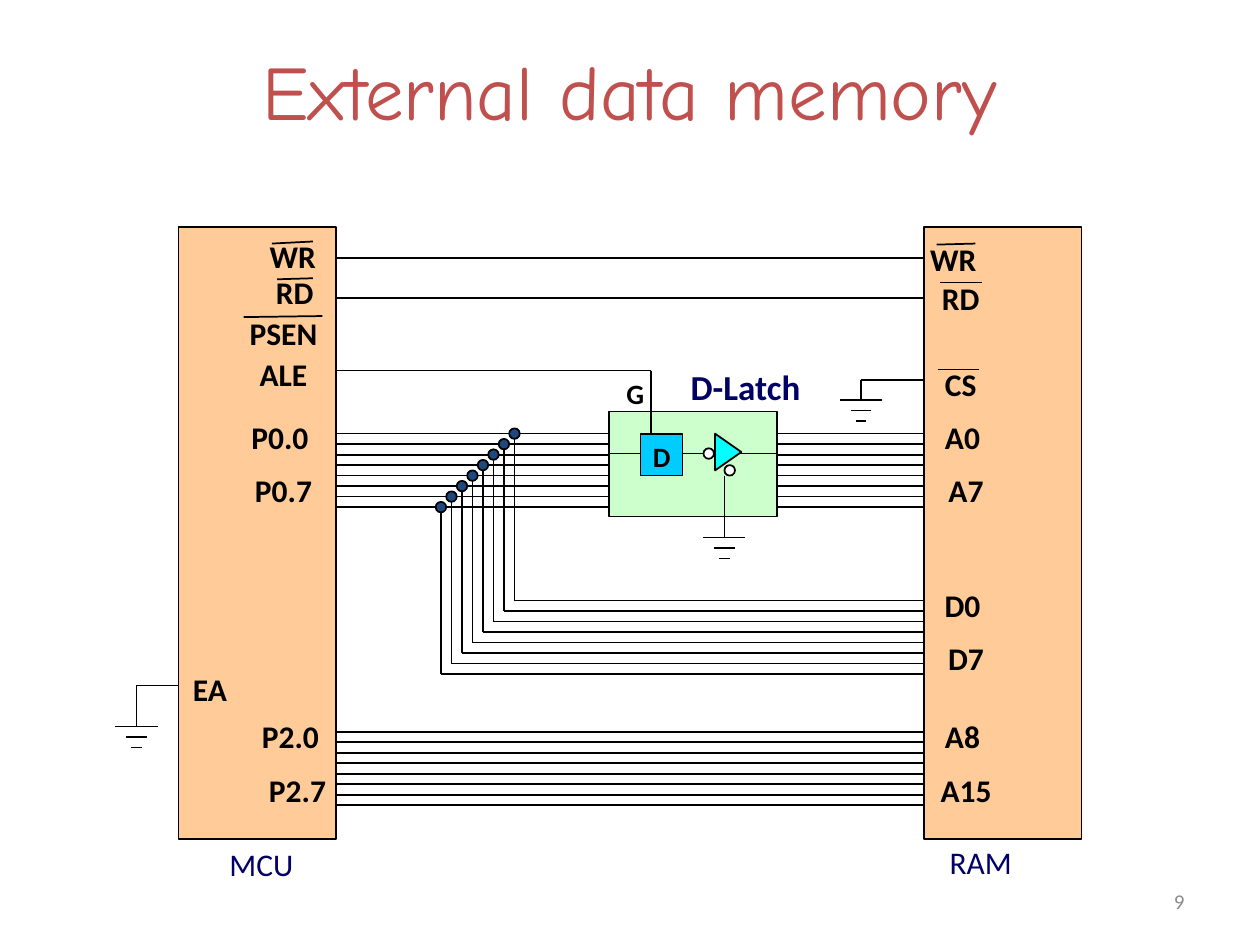
from dataclasses import dataclass

from lxml import etree
from pptx import Presentation
from pptx import util as u
from pptx.dml.color import RGBColor
from pptx.enum import shapes, text
from pptx.oxml import ns

PX = u.Inches(1) // 120
STEP = 10
LINES = 8
BODY_FONT = "Calibri"
COLORS = {
    "black": "000000", "white": "FFFFFF", "chip": "FFCC99", "latch": "CCFFCC",
    "flip_flop": "00CCFF", "buffer": "00FFFF", "dot": "1F497D",
    "title": "C0504D", "name": "000066", "number": "8C8C8C",
}
KIND = shapes.MSO_SHAPE
ALIGN = text.PP_ALIGN


@dataclass(frozen=True)
class Block:
    left: int
    top: int
    width: int
    height: int
    fill: str
    kind: shapes.MSO_SHAPE = KIND.RECTANGLE
    rotation: int = 0


@dataclass(frozen=True)
class Wire:
    x1: int
    y1: int
    x2: int
    y2: int


@dataclass(frozen=True)
class Bus:
    left: int
    right: int
    top: int
    left_shift: int = 0


@dataclass(frozen=True)
class Ground:
    center: int
    top: int


@dataclass(frozen=True)
class Label:
    lines: tuple[str, ...]
    left: int
    top: int
    width: int
    height: int = 48
    size: int = 18
    color: str = "black"
    bold: bool = True
    align: text.PP_ALIGN = ALIGN.CENTER
    wrap: bool = True
    font: str = BODY_FONT
    anchor: text.MSO_ANCHOR = text.MSO_ANCHOR.TOP


BLOCKS = [
    Block(170, 216, 150, 583, "chip"),
    Block(580, 392, 160, 100, "latch"),
    Block(880, 216, 150, 583, "chip"),
    Block(610, 413, 40, 40, "flip_flop"),
]
BUSES = [
    Bus(320, 580, 413),
    Bus(740, 880, 413),
    Bus(490, 880, 572, -STEP),
    Bus(320, 880, 697),
]
CONTROL_WIRES = [
    Wire(320, 246, 880, 246),
    Wire(320, 284, 880, 284),
    Wire(320, 353, 620, 353),
    Wire(620, 353, 620, 413),
    Wire(580, 432, 610, 432),
    Wire(650, 432, 740, 432),
    Wire(690, 453, 690, 512),
    Wire(820, 362, 880, 362),
    Wire(820, 362, 820, 380),
    Wire(130, 653, 170, 653),
    Wire(130, 653, 130, 692),
]
DATA_DROPS = [
    Wire(490 - STEP * i, 413 + STEP * i, 490 - STEP * i, 572 + STEP * i)
    for i in range(LINES)
]
OVERBARS = [
    Wire(259, 232, 298, 230),
    Wire(264, 266, 298, 265),
    Wire(232, 302, 307, 301),
    Wire(892, 233, 929, 232),
    Wire(895, 269, 935, 269),
    Wire(893, 352, 932, 352),
]
GROUNDS = [Ground(690, 512), Ground(820, 381), Ground(130, 692)]
BUFFER_PARTS = [
    Block(676, 418, 35, 25, "buffer", KIND.ISOSCELES_TRIANGLE, 90),
    Block(690, 443, 10, 10, "white", KIND.OVAL),
    Block(670, 427, 10, 10, "white", KIND.OVAL),
]
DOTS = [
    Block(drop.x1 - 5, drop.y1 - 5, 10, 10, "dot", KIND.OVAL) for drop in DATA_DROPS
]
LABELS = [
    Label(("External data memory",), 60, 36, 1080, 150, 44, "title", False,
          font="Comic Neue"),
    Label(("MCU",), 184, 799, 130, 60, color="name", bold=False),
    Label(("RAM",), 864, 797, 140, 60, color="name", bold=False),
    Label(("D",), 610, 413, 40, 44, 16),
    Label(("G",), 570, 353, 70, 44, 16),
    Label(("D-Latch",), 630, 342, 160, 52, 20, "name"),
    Label(("WR",), 245, 220, 76, align=ALIGN.LEFT, wrap=False),
    Label(("RD",), 251, 254, 67, align=ALIGN.LEFT, wrap=False),
    Label(("PSEN",), 210, 293, 120),
    Label(("ALE",), 210, 332, 120),
    Label(("P0.0 ", "P0.7"), 210, 392, 120, 102),
    Label(("EA",), 160, 632, 80),
    Label(("P2.0 ", " P2.7"), 220, 677, 120, 102),
    Label(("WR",), 874, 223, 76, align=ALIGN.LEFT, wrap=False),
    Label(("RD",), 880, 260, 70),
    Label(("CS",), 880, 342, 70),
    Label(("A0 ", "A7"), 870, 392, 100, 102),
    Label(("D0 ", "D7"), 870, 552, 100, 102),
    Label(("A8 ", "A15"), 870, 677, 100, 102),
    Label(("9",), 860, 834, 280, 48, 12, "number", False, ALIGN.RIGHT,
          anchor=text.MSO_ANCHOR.MIDDLE),
]


def color_of(name: str) -> RGBColor:
    return RGBColor.from_string(COLORS[name])


def draw_block(slide, block: Block) -> None:
    shape = slide.shapes.add_shape(
        block.kind, block.left * PX, block.top * PX, block.width * PX, block.height * PX)
    shape.rotation = block.rotation
    shape.shadow.inherit = False
    shape.fill.solid()
    shape.fill.fore_color.rgb = color_of(block.fill)
    shape.line.color.rgb = color_of("black")
    shape.line.width = u.Pt(1)


def draw_wire(slide, wire: Wire) -> None:
    connector = slide.shapes.add_connector(
        shapes.MSO_CONNECTOR.STRAIGHT,
        wire.x1 * PX, wire.y1 * PX, wire.x2 * PX, wire.y2 * PX)
    connector.line.color.rgb = color_of("black")
    connector.line.width = u.Pt(1)
    etree.SubElement(connector._element.spPr, ns.qn("a:effectLst"))


def draw_bus(slide, bus: Bus) -> None:
    for i in range(LINES):
        y = bus.top + STEP * i
        draw_wire(slide, Wire(bus.left + bus.left_shift * i, y, bus.right, y))


def draw_ground(slide, ground: Ground) -> None:
    for i, half in enumerate((20, 10, 5)):
        y = ground.top + STEP * i
        draw_wire(slide, Wire(ground.center - half, y, ground.center + half, y))


def draw_label(slide, label: Label) -> None:
    shape = slide.shapes.add_textbox(
        label.left * PX, label.top * PX, label.width * PX, label.height * PX)
    frame = shape.text_frame
    frame.word_wrap = label.wrap
    frame.vertical_anchor = label.anchor
    for i, line in enumerate(label.lines):
        paragraph = frame.add_paragraph() if i else frame.paragraphs[0]
        paragraph.alignment = label.align
        if i:
            paragraph.space_before = u.Pt(label.size / 2)
        run = paragraph.add_run()
        run.text = line
        run.font.name = label.font
        run.font.size = u.Pt(label.size)
        run.font.bold = label.bold
        run.font.color.rgb = color_of(label.color)


def main() -> None:
    presentation = Presentation()
    presentation.slide_width = 1200 * PX
    presentation.slide_height = 900 * PX
    slide = presentation.slides.add_slide(presentation.slide_layouts[6])
    for block in BLOCKS:
        draw_block(slide, block)
    for bus in BUSES:
        draw_bus(slide, bus)
    for wire in CONTROL_WIRES + DATA_DROPS + OVERBARS:
        draw_wire(slide, wire)
    for ground in GROUNDS:
        draw_ground(slide, ground)
    for block in BUFFER_PARTS + DOTS:
        draw_block(slide, block)
    for label in LABELS:
        draw_label(slide, label)
    presentation.save("out.pptx")


if __name__ == "__main__":
    main()
